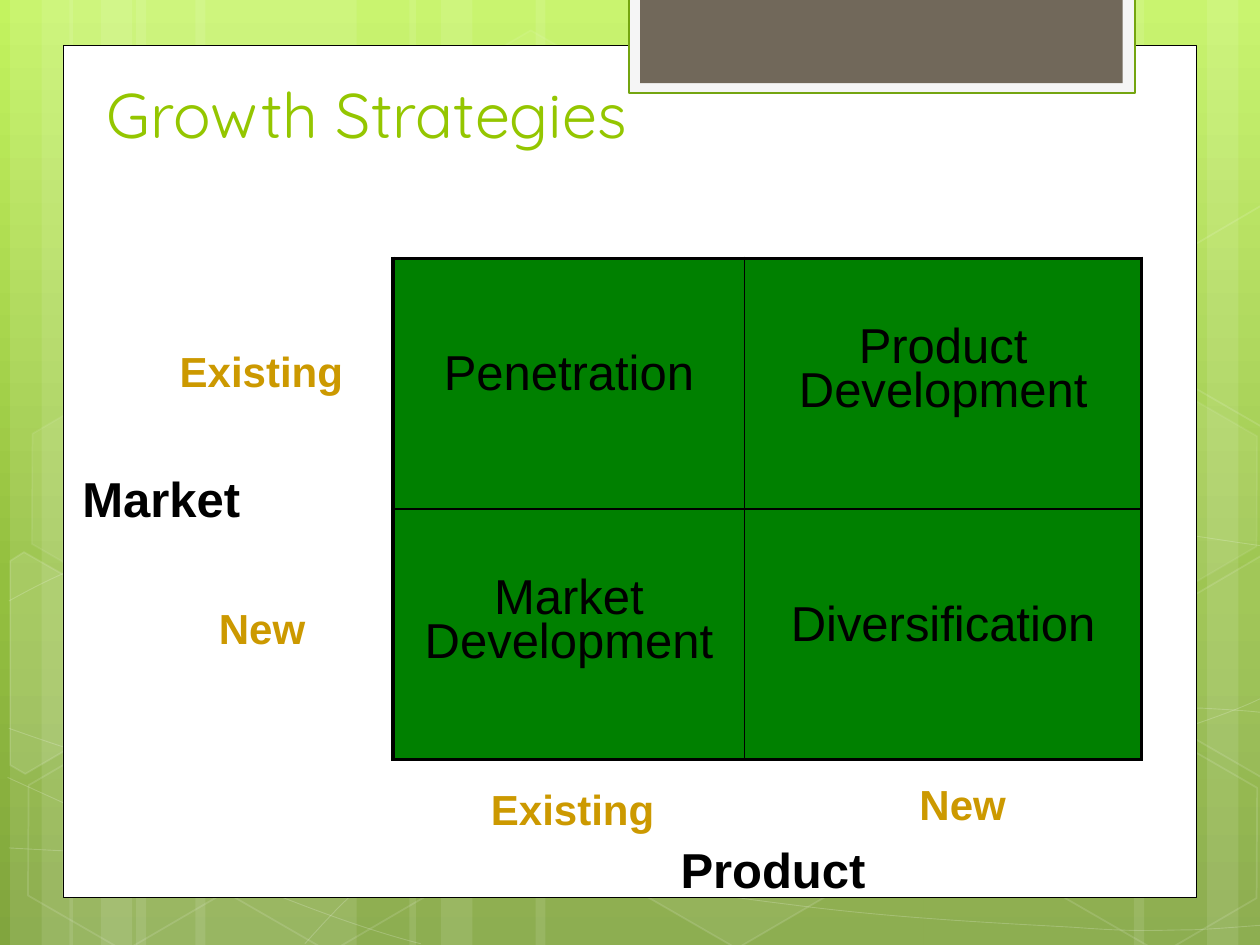
from copy import deepcopy
from math import cos, radians, sin
from lxml.etree import SubElement
from pptx import Presentation
from pptx.dml.color import RGBColor
from pptx.enum.shapes import MSO_SHAPE
from pptx.enum.text import MSO_ANCHOR, PP_ALIGN
from pptx.oxml.ns import qn
from pptx.util import Emu, Pt

PX = 9144
TILT = 30
WHITE = RGBColor(0xFF, 0xFF, 0xFF)
BLACK = RGBColor(0, 0, 0)
LIME = RGBColor(0x94, 0xC6, 0x00)
LEAF = RGBColor(0x74, 0xA5, 0x10)
SMOKE = RGBColor(0xF5, 0xF5, 0xF5)
TAUPE = RGBColor(0x71, 0x68, 0x5A)
GREEN = RGBColor(0x00, 0x80, 0x00)
GOLD = RGBColor(0xCC, 0x99, 0x00)
SKY = [(0, RGBColor(0xC3, 0xF3, 0x5F)), (62, RGBColor(0x93, 0xBF, 0x3F)),
       (100, RGBColor(0x81, 0xA5, 0x3E))]

TITLE = {"name": "Quicksand", "size": Pt(36), "color": LIME}
CELL = {"name": "Arial", "size": Pt(28), "color": BLACK}
AXIS = {"name": "Arial", "size": Pt(28), "bold": True, "color": BLACK}
LEVEL = {"name": "Arial", "size": Pt(24), "bold": True, "color": GOLD}

BARS = [(108, 175), (8, 50), (33, 83), (155, 175), (55, 50), (80, 83),
        (733, 175), (958, 50), (900, 83), (425, 308), (325, 50), (350, 83)]
CURVES = [
    [(7, 673), (61, 676), (115, 679), (190, 678), (265, 677), (358, 675), (458, 665),
     (558, 655), (700, 636), (792, 617), (883, 598), (977, 568), (1007, 551)],
    [(7, 477), (36, 461), (65, 446), (121, 431), (178, 416), (259, 394), (347, 387),
     (436, 380), (544, 379), (654, 387), (764, 395), (947, 426), (1007, 434)],
    [(6, 617), (127, 672), (247, 727), (334, 749)],
    [(7, 578), (38, 589), (70, 600), (128, 616), (186, 631), (273, 656), (357, 673),
     (440, 690), (545, 708), (628, 718), (711, 729), (800, 733), (853, 736),
     (905, 740), (919, 738), (945, 738), (971, 737), (989, 735), (1007, 734)],
    [(242, 749), (260, 729), (278, 709), (302, 691), (326, 673), (360, 653), (388, 639),
     (416, 625), (433, 619), (470, 609), (506, 599), (573, 585), (608, 578),
     (644, 571), (649, 571), (680, 569), (711, 566), (760, 563), (794, 562),
     (829, 561), (886, 562), (886, 562), (908, 562), (931, 562), (953, 562),
     (971, 563), (988, 564), (997, 565), (1006, 566), (1003, 565), (1006, 566)],
]
HEXAGONS = [(334, 36, 4, 8), (497, 589, 6, 12), (11, 591, 0, 12), (14, 312, 7, 8),
            (174, 592, 0, 12), (753, 453, 10, 12), (834, 593, 0, 12), (834, 314, 7, 8)]
CUT_HEXAGONS = [
    ((36, 535), [(8, 445), (19, 438), (96, 482), (95, 570), (20, 614), (8, 607)], 10),
    ((985, 520), [(926, 485), (1001, 441), (1009, 446), (1009, 613), (1002, 617),
                  (926, 573)], 4),
    ((985, 241), [(926, 207), (1001, 163), (1010, 168), (1009, 335), (1002, 339),
                  (926, 295)], 0),
]


def emu(*lengths):
    """Turn px lengths into EMU."""
    return [Emu(round(v * PX)) for v in lengths]


def set_alpha(fill_parent, percent):
    """Make the solid colour found under an element translucent."""
    if percent < 100:
        clr = fill_parent.find(qn("a:solidFill")).find(qn("a:srgbClr"))
        SubElement(clr, qn("a:alpha"), val=str(percent * 1000))


def paint(sp, fill=None, fill_alpha=100, line=None, width=1, line_alpha=100):
    """Give a shape its fill and outline, without a shadow."""
    sp.shadow.inherit = False
    if fill is None or fill_alpha == 0:
        sp.fill.background()
    else:
        sp.fill.solid()
        sp.fill.fore_color.rgb = fill
        set_alpha(sp._element.spPr, fill_alpha)
    if line is None:
        sp.line.fill.background()
    else:
        sp.line.color.rgb = line
        sp.line.width = Pt(width)
        set_alpha(sp.line._ln, line_alpha)


def add_rect(s, box, **look):
    """Add a painted rectangle."""
    paint(s.shapes.add_shape(MSO_SHAPE.RECTANGLE, *emu(*box)), **look)


def add_outline(s, origin, points, close, **look):
    """Add a painted freeform through points measured from an origin."""
    pts = [tuple(emu(origin[0] + x, origin[1] + y)) for x, y in points]
    builder = s.shapes.build_freeform(*pts[0])
    builder.add_line_segments(pts[1:], close=close)
    sp = builder.convert_to_shape()
    paint(sp, **look)
    return sp


def bend(sp):
    """Turn every three line segments of a freeform into one Bezier segment."""
    segments = list(sp._element.spPr.iter(qn("a:lnTo")))
    for i in range(0, len(segments), 3):
        curve = segments[i].makeelement(qn("a:cubicBezTo"), {})
        segments[i].addprevious(curve)
        for segment in segments[i:i + 3]:
            curve.append(segment[0])
            segment.getparent().remove(segment)


def untilt(points, centre):
    """Turn points back by the tilt around a centre."""
    c, n = cos(radians(TILT)), sin(radians(TILT))
    offsets = [(x - centre[0], y - centre[1]) for x, y in points]
    return [(centre[0] + x * c + y * n, centre[1] - x * n + y * c) for x, y in offsets]


def write(tf, text, style, align):
    """Write one styled paragraph and return it."""
    tf.word_wrap = True
    p = tf.paragraphs[0]
    p.alignment = align
    r = p.add_run()
    r.text = text
    for key, value in style.items():
        if key == "color":
            r.font.color.rgb = value
        else:
            setattr(r.font, key, value)
    return p


def add_text(s, box, text, style, align=PP_ALIGN.CENTER, anchor=MSO_ANCHOR.TOP, top=3):
    """Add a text box with one paragraph."""
    tf = s.shapes.add_textbox(*emu(*box)).text_frame
    tf.vertical_anchor = anchor
    tf.margin_top = emu(top)[0]
    write(tf, text, style, align)


def fill_background(s):
    """Fill the background with the green gradient."""
    fill = s.background.fill
    fill.gradient()
    fill.gradient_angle = 270
    first = fill.gradient_stops[0]._gs
    first.addnext(deepcopy(first))
    for stop, (position, color) in zip(fill.gradient_stops, SKY):
        stop.position = position / 100
        stop.color.rgb = color


def backdrop(s, box):
    """Draw the translucent bars, curves and hexagons."""
    x, y, _, h = box
    for left, width in BARS:
        add_rect(s, (x + left, y, width, h), fill=WHITE, fill_alpha=10)
    for knots in CURVES:
        bend(add_outline(s, (x, y), knots, False, line=WHITE, width=0.5, line_alpha=20))
    for left, top, fill_alpha, line_alpha in HEXAGONS:
        sp = s.shapes.add_shape(MSO_SHAPE.HEXAGON, *emu(x + left, y + top, 175, 152))
        sp.adjustments[0] = 0.285
        sp.rotation = TILT
        paint(sp, WHITE, fill_alpha, WHITE, 1, line_alpha)
    for centre, points, fill_alpha in CUT_HEXAGONS:
        sp = add_outline(s, (x, y), untilt(points, centre), True, fill=WHITE,
                         fill_alpha=fill_alpha, line=WHITE, line_alpha=12)
        sp.rotation = TILT


def panel(s, box):
    """Draw the white panel, its top tab and the title."""
    x, y, w, _ = box
    add_rect(s, box, fill=WHITE, line=BLACK, width=0.5)
    add_rect(s, (x + 449, y - 38, 402, 76), fill=SMOKE, line=LEAF, width=1.25)
    add_rect(s, (x + 458, y - 38, 383, 68), fill=TAUPE)
    add_text(s, (x + 25, y + 14, w - 77, 75), "Growth Strategies", TITLE,
             PP_ALIGN.LEFT, MSO_ANCHOR.BOTTOM)


def set_borders(cell, widths):
    """Draw the four black borders of a cell, widths given in points."""
    tcPr = cell._tc.get_or_add_tcPr()
    for i, (side, width) in enumerate(widths.items()):
        ln = tcPr.makeelement(qn(f"a:ln{side}"), {"w": str(Pt(width))})
        clr = SubElement(SubElement(ln, qn("a:solidFill")), qn("a:srgbClr"))
        clr.set("val", str(BLACK))
        tcPr.insert(i, ln)


def matrix(s, box, rows):
    """Draw the two by two strategy table."""
    tbl = s.shapes.add_table(2, 2, *emu(*box)).table
    tbl.first_row = tbl.horz_banding = False
    tbl.columns[0].width, tbl.columns[1].width = emu(279, box[2] - 279)
    for i, texts in enumerate(rows):
        for j, text in enumerate(texts):
            cell = tbl.cell(i, j)
            cell.fill.solid()
            cell.fill.fore_color.rgb = GREEN
            two_lines = " " in text
            cell.margin_top = emu(56 if two_lines else 70)[0]
            p = write(cell.text_frame, text, CELL, PP_ALIGN.CENTER)
            p.line_spacing = 0.8 if two_lines else 1.0
            set_borders(cell, {"L": 1 if j else 2.25, "R": 2.25 if j else 1,
                               "T": 1 if i else 2.25, "B": 2.25 if i else 1})


def axis_labels(s, box, labels):
    """Place an axis name and its levels at offsets within a box."""
    for text, style, left, top, width, height in labels:
        add_text(s, (box[0] + left, box[1] + top, width, height), text, style)


def main():
    """Build the slide and save it."""
    prs = Presentation()
    prs.slide_width, prs.slide_height = emu(1000, 750)
    s = prs.slides.add_slide(prs.slide_layouts[6])
    fill_background(s)
    backdrop(s, (0, 0, 1000, 750))
    panel(s, (50, 36, 900, 676))
    matrix(s, (312, 205, 594, 398), [("Penetration", "Product Development"),
                                     ("Market Development", "Diversification")])
    axis_labels(s, (52, 271, 242, 254), [("Market", AXIS, 0, 98, 152, 57),
                                         ("Existing", LEVEL, 69, 0, 173, 50),
                                         ("New", LEVEL, 82, 204, 148, 50)])
    axis_labels(s, (371, 615, 467, 105), [("Product", AXIS, 156, 48, 173, 57),
                                          ("Existing", LEVEL, 0, 4, 167, 50),
                                          ("New", LEVEL, 319, 0, 148, 50)])
    prs.save("out.pptx")


if __name__ == "__main__":
    main()
